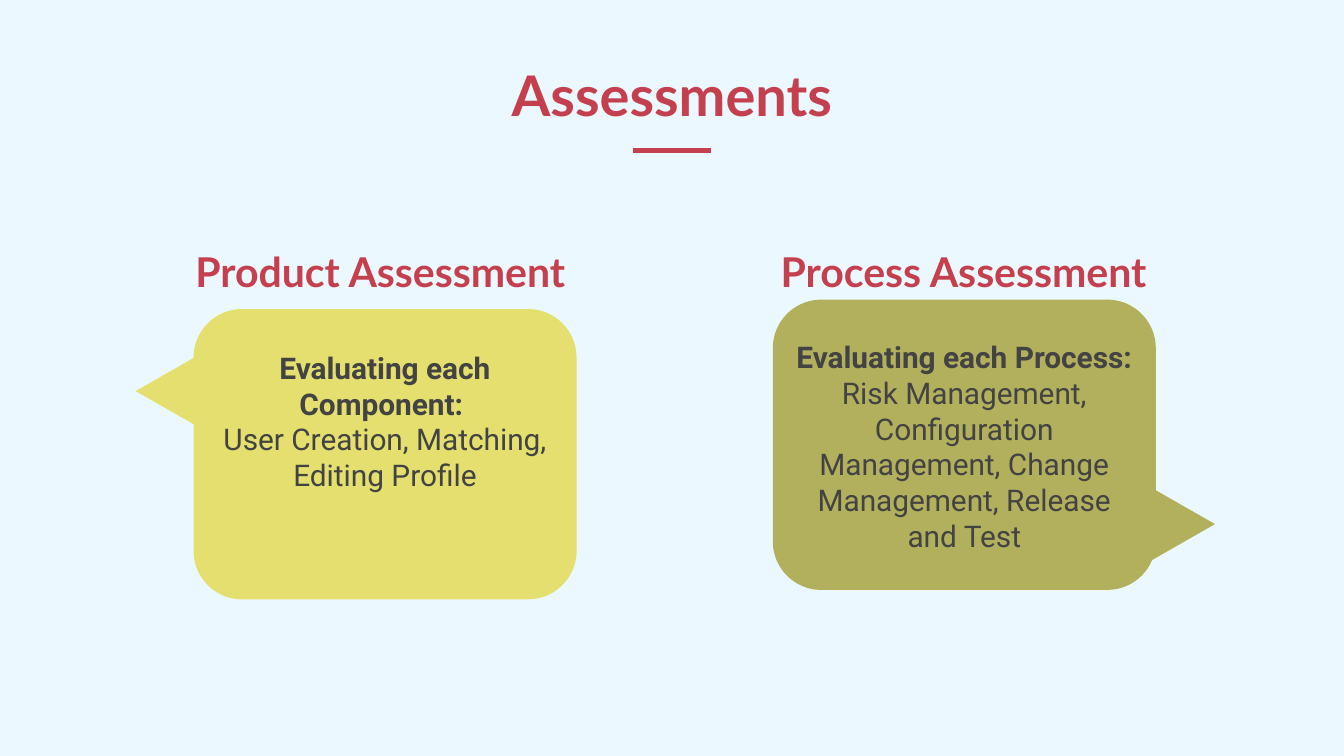
from lxml import etree
from pptx import Presentation
from pptx.dml.color import RGBColor
from pptx.enum.shapes import MSO_CONNECTOR, MSO_SHAPE as SHAPE
from pptx.enum.text import MSO_ANCHOR as ANCHOR, PP_ALIGN
from pptx.oxml.ns import qn
from pptx.util import Inches, Pt

BACKGROUND = RGBColor(0xEC, 0xF8, 0xFF)
RED = RGBColor(0xC5, 0x40, 0x4E)
GREY = RGBColor(0x43, 0x43, 0x43)
YELLOW = RGBColor(0xE4, 0xDF, 0x6F)
OLIVE = RGBColor(0xB3, 0xB0, 0x5D)


class SlideBuilder:
    heading = dict(name="Lato", bold=True)
    body = dict(name="Roboto", size=Pt(16))

    def __init__(self, slide):
        self.s = slide
        fill = slide.background.fill
        fill.solid()
        fill.fore_color.rgb = BACKGROUND

    def shape(self, kind, box, color, rotation=0, adjustment=None):
        sp = self.s.shapes.add_shape(kind, *map(Inches, box))
        sp.shadow.inherit = False
        sp.fill.solid()
        sp.fill.fore_color.rgb = color
        sp.line.fill.background()
        sp.rotation = rotation
        if adjustment is not None:
            sp.adjustments[0] = adjustment

    def rule(self, x1, x2, y):
        line = self.s.shapes.add_connector(
            MSO_CONNECTOR.STRAIGHT, Inches(x1), Inches(y), Inches(x2), Inches(y))
        line.line.color.rgb = RED
        line.line.width = Pt(3)
        etree.SubElement(line._element.spPr, qn("a:effectLst"))

    def text_frame(self, box, anchor):
        tf = self.s.shapes.add_textbox(*map(Inches, box)).text_frame
        frame = dict(word_wrap=True, vertical_anchor=anchor)
        for side in ("left", "right", "top", "bottom"):
            frame[f"margin_{side}"] = Inches(0.1)
        for name, value in frame.items():
            setattr(tf, name, value)
        return tf

    def run(self, p, text, color, **style):
        p.alignment = PP_ALIGN.CENTER
        r = p.add_run()
        r.text = text
        r.font.color.rgb = color
        for name, value in style.items():
            setattr(r.font, name, value)

    def title(self, text, box, size):
        tf = self.text_frame(box, ANCHOR.BOTTOM)
        self.run(tf.paragraphs[0], text, RED, size=Pt(size), **self.heading)

    def description(self, lead, detail, box, same_paragraph):
        """Bold lead line, then the detail after a line or paragraph break."""
        tf = self.text_frame(box, ANCHOR.TOP)
        p = tf.paragraphs[0]
        self.run(p, lead, GREY, bold=True, **self.body)
        if same_paragraph:
            p.add_line_break()
        else:
            p = tf.add_paragraph()
        self.run(p, detail, GREY, bold=False, **self.body)


def main():
    prs = Presentation()
    prs.slide_width = Inches(10)
    prs.slide_height = prs.slide_width * 9 // 16
    slide = SlideBuilder(prs.slides.add_slide(prs.slide_layouts[6]))

    slide.rule(4.71, 5.29, 1.12)
    slide.title("Assessments", (0.87, 0.22, 8.26, 0.83), 30)

    bubbles = [
        ("Product Assessment", 1.31, "Evaluating each Component: ",
         "User Creation, Matching, Editing Profile",
         1.44, 2.3, 2.5, YELLOW, (0.97, 2.63), 270, False),
        ("Process Assessment", 5.65, "Evaluating each Process:",
         "Risk Management, Configuration Management, Change Management, "
         "Release and Test",
         5.75, 2.23, 2.42, OLIVE, (8.44, 3.62), 90, True),
    ]
    for (name, title_x, lead, detail, x, y, text_y, color, tail, rotation,
         same_paragraph) in bubbles:
        slide.shape(SHAPE.ROUNDED_RECTANGLE, (x, y, 2.85, 2.16), color,
                    adjustment=0.167)
        slide.shape(SHAPE.ISOSCELES_TRIANGLE, (*tail, 0.64, 0.56), color, rotation)
        slide.title(name, (title_x, 0.68, 3.04, 1.62), 22)
        slide.description(lead, detail, (x + 0.04, text_y, 2.77, 1.77),
                          same_paragraph)

    prs.save("out.pptx")


if __name__ == "__main__":
    main()
